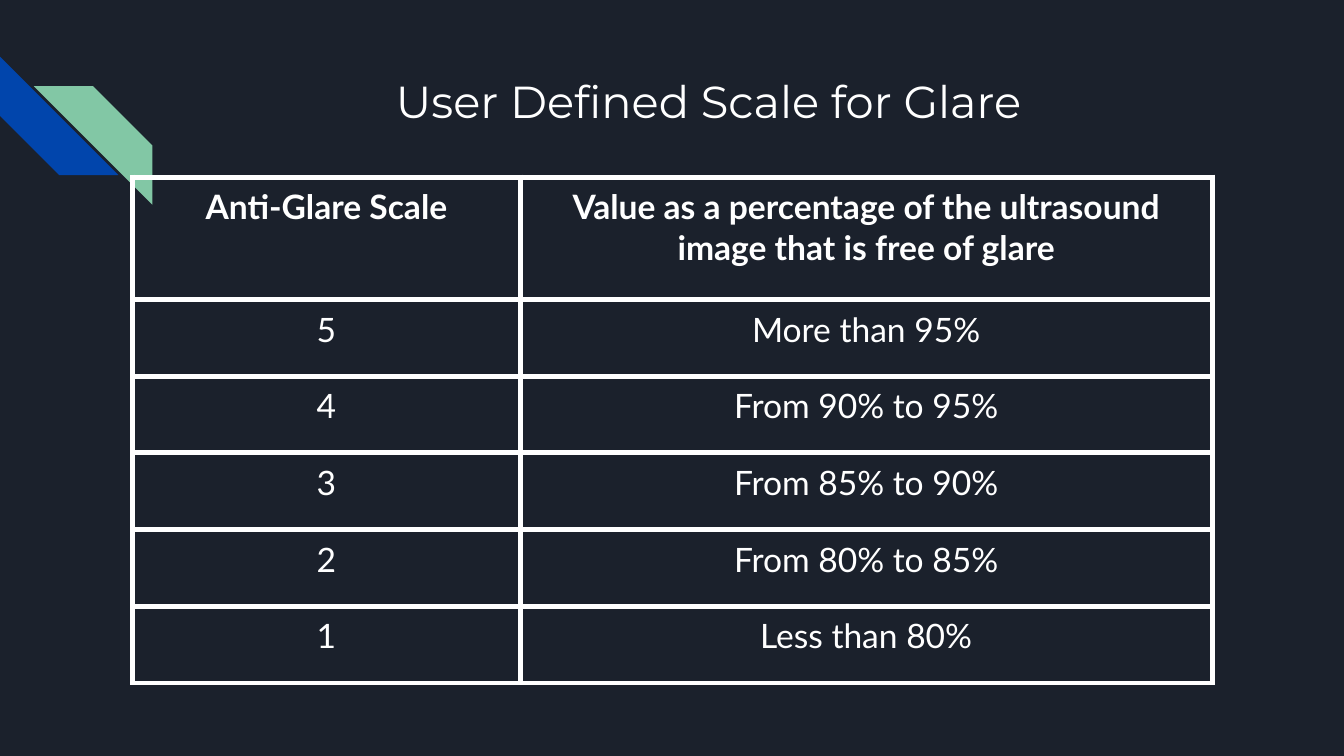
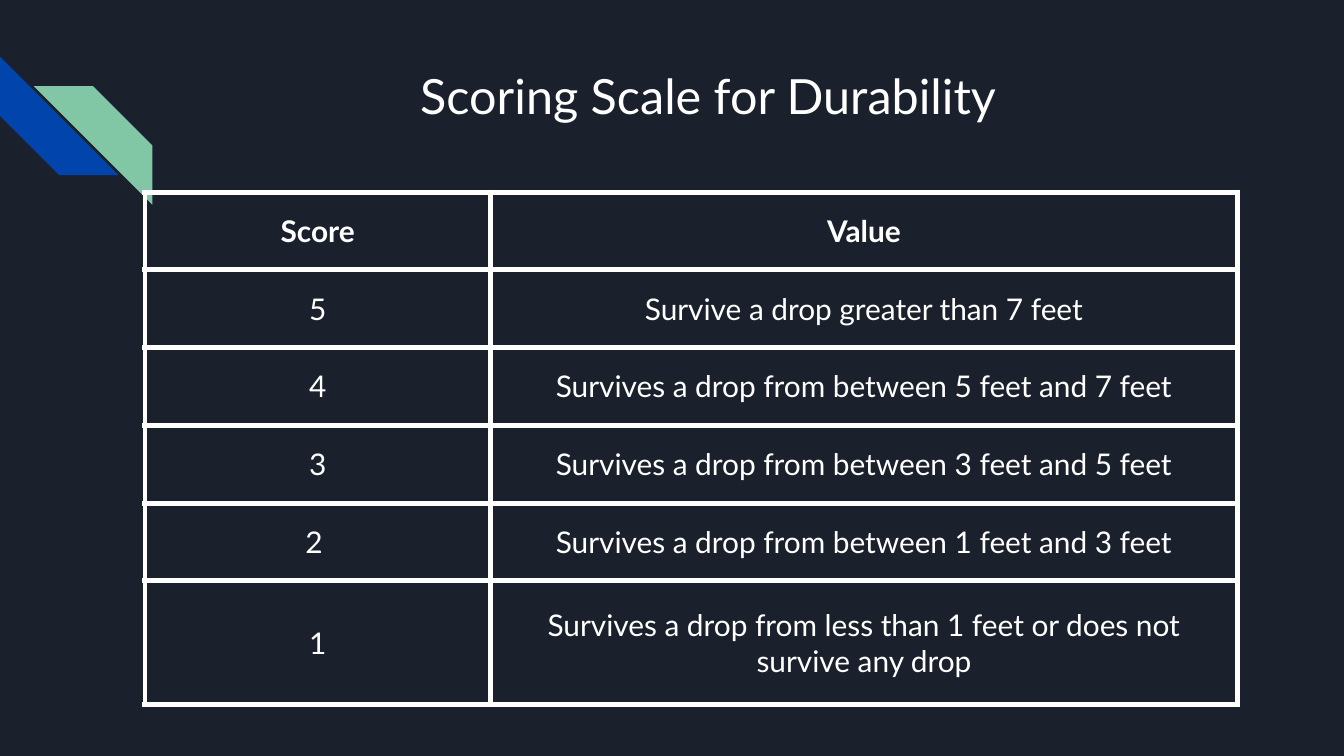
from dataclasses import dataclass

from lxml import etree
from pptx import Presentation
from pptx.dml.color import RGBColor
from pptx.enum import shapes, text
from pptx.oxml import ns
from pptx.util import Cm, Pt


@dataclass(frozen=True)
class Theme:
    background: str = "1B212C"
    ink: str = "FFFFFF"
    blue: str = "0145AC"
    green: str = "82C7A5"
    body_font: str = "Lato"
    title_inset: float = 0.25
    cell_inset: float = 0.18
    border: float = 3


theme = Theme()

SCALES = [
    dict(
        title="User Defined Scale for Glare", title_font="Montserrat",
        title_size=24, title_top=0.64,
        left=2.51, top=3.35, cols=[7.32, 13.08], rows=[2.31] + [1.45] * 5,
        size=18, anchor=text.MSO_ANCHOR.TOP,
        cells=[
            ("Anti-Glare Scale",
             "Value as a percentage of the ultrasound image that is free of glare"),
            ("5", "More than 95%"),
            ("4", "From 90% to 95%"),
            ("3", "From 85% to 90%"),
            ("2", "From 80% to 85%"),
            ("1", "Less than 80%"),
        ],
    ),
    dict(
        title="Scoring Scale for Durability", title_font=theme.body_font,
        title_size=26, title_top=0.53,
        left=2.74, top=3.63, cols=[6.53, 14.12], rows=[1.47] * 5 + [2.34],
        size=16, anchor=text.MSO_ANCHOR.MIDDLE,
        cells=[
            ("Score", "Value"),
            ("5", "Survive a drop greater than 7 feet"),
            ("4", "Survives a drop from between 5 feet and 7 feet"),
            ("3", "Survives a drop from between 3 feet and 5 feet"),
            ("2 ", "Survives a drop from between 1 feet and 3 feet"),
            ("1", "Survives a drop from less than 1 feet or does not survive any drop"),
        ],
    ),
]


def style_text(tf, font, size, inset, bold=False):
    tf.word_wrap = True
    p = tf.paragraphs[0]
    p.alignment = text.PP_ALIGN.CENTER
    r = p.runs[0]
    r.font.name = font
    r.font.size = Pt(size)
    r.font.bold = bold
    r.font.color.rgb = RGBColor.from_string(theme.ink)
    return Cm(inset)


def add_borders(cell):
    tc_pr = cell._tc.get_or_add_tcPr()
    for side in ("a:lnL", "a:lnR", "a:lnT", "a:lnB"):
        ln = etree.SubElement(tc_pr, ns.qn(side), w=str(Pt(theme.border)))
        fill = etree.SubElement(ln, ns.qn("a:solidFill"))
        etree.SubElement(fill, ns.qn("a:srgbClr"), val=theme.ink)


prs = Presentation()
prs.slide_width, prs.slide_height = Cm(25.4), Cm(14.29)
layout = prs.slide_layouts[5]

# Shared background
fill = prs.slide_master.background.fill
fill.solid()
fill.fore_color.rgb = RGBColor.from_string(theme.background)

for number, scale in enumerate(SCALES):
    s = prs.slides.add_slide(layout)

    # Corner stripes, made once and moved to the layout
    if number == 0:
        stripes = [(0, 1.07, theme.blue, 270, False),
                   (0.64, 1.63, theme.green, 0, True)]
        for shape_id, (left, top, color, turn, flip) in enumerate(stripes, 20):
            sp = s.shapes.add_shape(shapes.MSO_SHAPE.DIAGONAL_STRIPE,
                                    Cm(left), Cm(top), Cm(2.24), Cm(2.24))
            sp.shadow.inherit = False
            sp.rotation = turn
            sp.fill.solid()
            sp.fill.fore_color.rgb = RGBColor.from_string(color)
            sp.line.fill.background()
            if flip:
                sp.element.spPr.find(ns.qn("a:xfrm")).set("flipH", "1")
            sp.element.nvSpPr.cNvPr.set("id", str(shape_id))
            layout.shapes.element.append(sp.element)

    # Title
    title = s.shapes.title
    title.left, title.top = Cm(3.61), Cm(scale["title_top"])
    title.width, title.height = Cm(19.56), Cm(2.54)
    tf = title.text_frame
    tf.text = scale["title"]
    tf.auto_size = text.MSO_AUTO_SIZE.NONE
    tf.vertical_anchor = text.MSO_ANCHOR.MIDDLE
    inset = style_text(tf, scale["title_font"], scale["title_size"], theme.title_inset)
    tf.margin_left = tf.margin_right = tf.margin_top = tf.margin_bottom = inset

    # Scale table
    cols, rows = scale["cols"], scale["rows"]
    table = s.shapes.add_table(len(rows), len(cols), Cm(scale["left"]), Cm(scale["top"]),
                               Cm(sum(cols)), Cm(sum(rows))).table
    table.first_row = table.horz_banding = False
    for column, width in zip(table.columns, cols):
        column.width = Cm(width)
    for i, (row, height) in enumerate(zip(table.rows, rows)):
        row.height = Cm(height)
        for cell, words in zip(row.cells, scale["cells"][i]):
            cell.text_frame.text = words
            cell.vertical_anchor = scale["anchor"]
            inset = style_text(cell.text_frame, theme.body_font, scale["size"],
                               theme.cell_inset, bold=i == 0)
            cell.margin_left = cell.margin_right = inset
            cell.margin_top = cell.margin_bottom = inset
            add_borders(cell)
            cell.fill.background()

prs.save("out.pptx")
